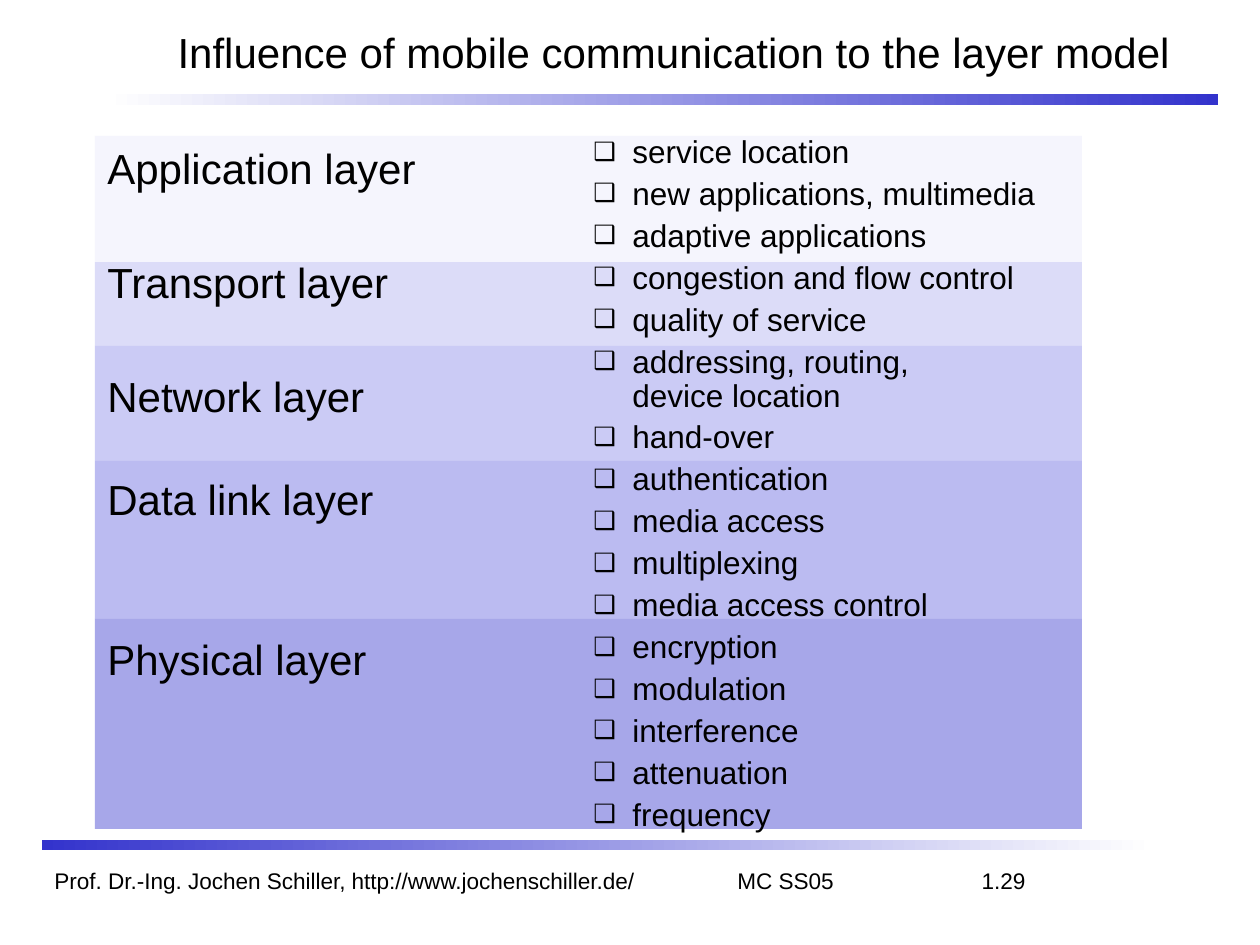
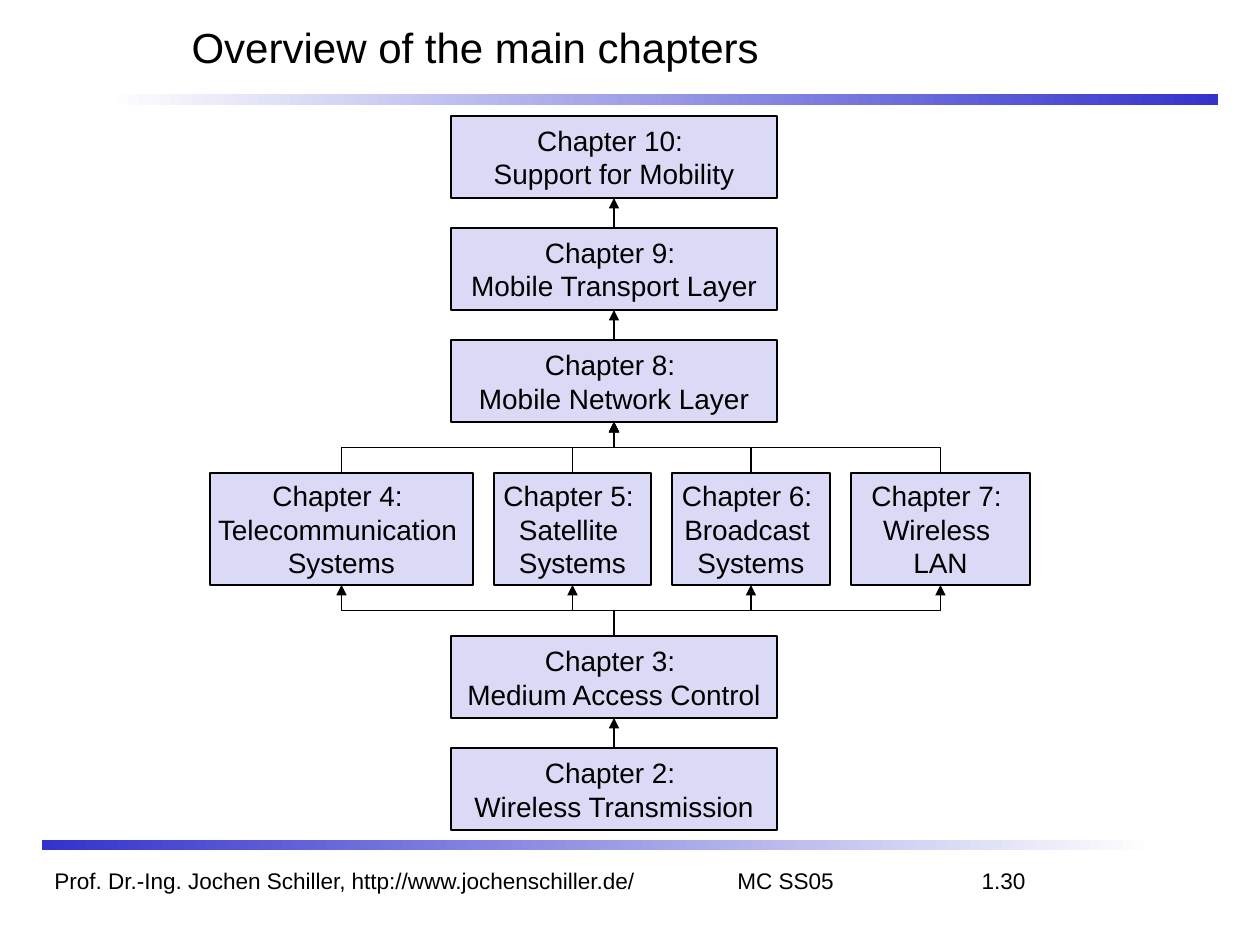
import lxml.etree
import pptx
import pptx.dml.color
import pptx.enum.dml
import pptx.enum.shapes
import pptx.enum.text
import pptx.oxml.ns
import pptx.util

FONT = "Arial"
BLACK, WHITE, BLUE, LILAC = "000000", "FFFFFF", "3333CC", "DADAF6"
RECT = pptx.enum.shapes.MSO_SHAPE.RECTANGLE
CONNECTOR = pptx.enum.shapes.MSO_CONNECTOR
ALIGN = pptx.enum.text.PP_ALIGN
ANCHOR = pptx.enum.text.MSO_ANCHOR

# label, space before the label in points, band height, band colour, topics
LAYERS = [
    ("Application layer", 0, 126, "F5F5FD",
     ["service location", "new applications, multimedia", "adaptive applications"]),
    ("Transport layer", 36.4, 84, "DCDCF8",
     ["congestion and flow control", "quality of service"]),
    ("Network layer", 36.4, 115, "CBCBF5",
     ["addressing, routing, \vdevice location", "hand-over"]),
    ("Data link layer", 30.1, 158, "BBBBF1",
     ["authentication", "media access", "multiplexing", "media access control"]),
    ("Physical layer", 62.7, 210, "A7A7E9",
     ["encryption", "modulation", "interference", "attenuation", "frequency"]),
]
UPPER_CHAPTERS = ["Chapter 10: \nSupport for Mobility",
                  "Chapter 9: \nMobile Transport Layer",
                  "Chapter 8: \nMobile Network Layer"]
SYSTEM_CHAPTERS = [("Chapter 4: \nTelecommunication \vSystems", 263),
                   ("Chapter 5: \nSatellite \nSystems", 157),
                   ("Chapter 6: \nBroadcast \nSystems", 158),
                   ("Chapter 7: \nWireless \nLAN", 179)]
LOWER_CHAPTERS = ["Chapter 3: \nMedium Access Control",
                  "Chapter 2: \nWireless Transmission"]


def px(n):
    """Turn px into EMU at 126 px to the inch."""
    return pptx.util.Emu(round(n * 914400 / 126))


def rgb(color):
    """Turn a hex string into a colour."""
    return pptx.dml.color.RGBColor.from_string(color)


def add_xml(parent, tag, **attrs):
    """Append a DrawingML element to a parent."""
    child = lxml.etree.SubElement(parent, pptx.oxml.ns.qn("a:" + tag))
    for name, value in attrs.items():
        child.set(name, str(value))
    return child


def format_text(tf, size, align=ALIGN.LEFT):
    """Give all runs of a text frame the deck font."""
    for p in tf.paragraphs:
        p.alignment = align
        for r in p.runs:
            r.font.name = FONT
            r.font.size = pptx.util.Pt(size)
            r.font.color.rgb = rgb(BLACK)


def add_rect(slide, box, color=None):
    """Add a rectangle without line or shadow."""
    sp = slide.shapes.add_shape(RECT, *map(px, box))
    sp.shadow.inherit = False
    sp.line.fill.background()
    if color:
        sp.fill.solid()
        sp.fill.fore_color.rgb = rgb(color)
    return sp


def add_text(slide, box, text, size):
    """Add a wrapped text box and return its frame."""
    tf = slide.shapes.add_textbox(*map(px, box)).text_frame
    tf.word_wrap = True
    tf.text = text
    format_text(tf, size)
    return tf


def add_gradient_bar(slide, box, colors):
    """Add a horizontal bar fading between two colours."""
    sp = add_rect(slide, box)
    sp.fill.gradient()
    sp.fill.gradient_angle = 0
    for stop, color in zip(sp.fill.gradient_stops, colors):
        stop.color.rgb = rgb(color)


def add_footer(slide, box, number):
    """Add the author, course and page line on its tab stops."""
    text = f"Prof. Dr.-Ing. Jochen Schiller, http://www.jochenschiller.de/\tMC SS05\t{number}"
    p = add_text(slide, box, text, 12.9).paragraphs[0]
    tabs = add_xml(p._p.get_or_add_pPr(), "tabLst")
    add_xml(tabs, "tab", pos=px(683), algn="l")
    add_xml(tabs, "tab", pos=px(971), algn="r")


def add_slide(prs, title, title_box, number):
    """Add a slide with the shared title, bars and footer."""
    slide = prs.slides.add_slide(prs.slide_layouts[5])
    add_gradient_bar(slide, (105, 94, 1113, 11), (WHITE, BLUE))
    add_gradient_bar(slide, (42, 840, 1113, 10), (BLUE, WHITE))
    add_footer(slide, (42, 861, 1103, 42), number)
    sp = slide.shapes.title
    sp.left, sp.top, sp.width, sp.height = map(px, title_box)
    tf = sp.text_frame
    tf.text = title
    tf.auto_size = pptx.enum.text.MSO_AUTO_SIZE.NONE
    tf.vertical_anchor = ANCHOR.MIDDLE
    format_text(tf, 24)
    return slide


def add_topics(slide, box, topics):
    """Add the bulleted list of topics."""
    tf = add_text(slide, box, "\n".join(topics).replace("\v", "\v"), 18)
    for i, p in enumerate(tf.paragraphs):
        p.line_spacing = 0.9
        p.space_before = pptx.util.Pt(4.5 if i else 0)
        pPr = p._p.get_or_add_pPr()
        pPr.set("marL", str(px(102)))
        pPr.set("indent", str(px(-39)))
        add_xml(add_xml(pPr, "buClr"), "srgbClr", val=BLACK)
        add_xml(pPr, "buSzPct", val=80000)
        add_xml(pPr, "buFont", typeface=FONT)
        add_xml(pPr, "buChar", char="❑")


def add_layer_model(slide, box):
    """Stack the layer bands and lay labels and topics over them."""
    left, top, width, height = box
    y = top
    for _, _, band_height, color, _ in LAYERS:
        add_rect(slide, (left, y, width, band_height), color)
        y += band_height
    add_topics(slide, (left + 423, top - 6, 703, 714),
               [topic for layer in LAYERS for topic in layer[4]])
    labels = add_text(slide, (left, top, 525, height),
                      "\n".join(layer[0] for layer in LAYERS), 24)
    for p, layer in zip(labels.paragraphs, LAYERS):
        p.space_before = pptx.util.Pt(layer[1])


def add_chapter(slide, box, text):
    """Add one outlined chapter box."""
    sp = add_rect(slide, box, LILAC)
    sp.line.color.rgb = rgb(BLACK)
    sp.line.width = pptx.util.Pt(0.75)
    tf = sp.text_frame
    tf.word_wrap = False
    tf.vertical_anchor = ANCHOR.MIDDLE
    tf.text = text
    format_text(tf, 16, ALIGN.CENTER)
    return sp


def style_arrow(c):
    """Draw a connector as a thin black arrow without shadow."""
    c.line.color.rgb = rgb(BLACK)
    c.line.width = pptx.util.Pt(0.75)
    add_xml(c.line._get_or_add_ln(), "tailEnd", type="triangle")
    add_xml(c._element.spPr, "effectLst")


def add_straight_arrow(slide, lower, upper):
    """Join the top of one box to the bottom of the box above it."""
    c = slide.shapes.add_connector(CONNECTOR.STRAIGHT, 0, 0, 0, 0)
    c.begin_connect(lower, 0)
    c.end_connect(upper, 2)
    style_arrow(c)


def add_bent_arrow(slide, lower, upper):
    """Lead an upright elbow from a box top to a box bottom above it."""
    x1, x2 = (sp.left + sp.width // 2 for sp in (lower, upper))
    y1, y2 = lower.top, upper.top + upper.height
    mid_x, mid_y = (x1 + x2) // 2, (y1 + y2) // 2
    half_run, half_rise = (x2 - x1) // 2, (y1 - y2) // 2
    c = slide.shapes.add_connector(
        CONNECTOR.ELBOW, mid_x - half_rise, mid_y - half_run,
        mid_x + half_rise, mid_y + half_run)
    c._element.spPr.find(pptx.oxml.ns.qn("a:xfrm")).set("rot", "16200000")
    style_arrow(c)


def add_chapter_column(slide, box, pitch, texts):
    """Stack chapter boxes, each with an arrow to the one above."""
    left, top, width, height = box
    chapters = [add_chapter(slide, (left, top + i * pitch, width, height), text)
                for i, text in enumerate(texts)]
    for upper, lower in zip(chapters, chapters[1:]):
        add_straight_arrow(slide, lower, upper)
    return chapters


def add_chapter_map(slide, box):
    """Place the chapter columns and the row of systems between them."""
    left, top, _, height = box
    column, width, box_height, pitch, gap = left + 241, 326, 82, 112, 21
    upper = add_chapter_column(slide, (column, top, width, box_height),
                               pitch, UPPER_CHAPTERS)
    lower_top = top + height - pitch - box_height
    lower = add_chapter_column(slide, (column, lower_top, width, box_height),
                               pitch, LOWER_CHAPTERS)
    x = left
    for text, system_width in SYSTEM_CHAPTERS:
        system = add_chapter(slide, (x, top + 357, system_width, 112), text)
        add_bent_arrow(slide, lower[0], system)
        add_bent_arrow(slide, system, upper[-1])
        x += system_width + gap


def main():
    """Build and save the two slides."""
    prs = pptx.Presentation()
    prs.slide_width, prs.slide_height = px(1260), px(945)
    slide = add_slide(prs, "Influence of mobile communication to the layer model",
                      (165, 10, 1081, 84), "1.29")
    add_layer_model(slide, (95, 136, 987, 693))
    slide = add_slide(prs, "Overview of the main chapters", (179, 0, 1061, 94), "1.30")
    add_chapter_map(slide, (210, 116, 820, 714))
    prs.save("out.pptx")


if __name__ == "__main__":
    main()
